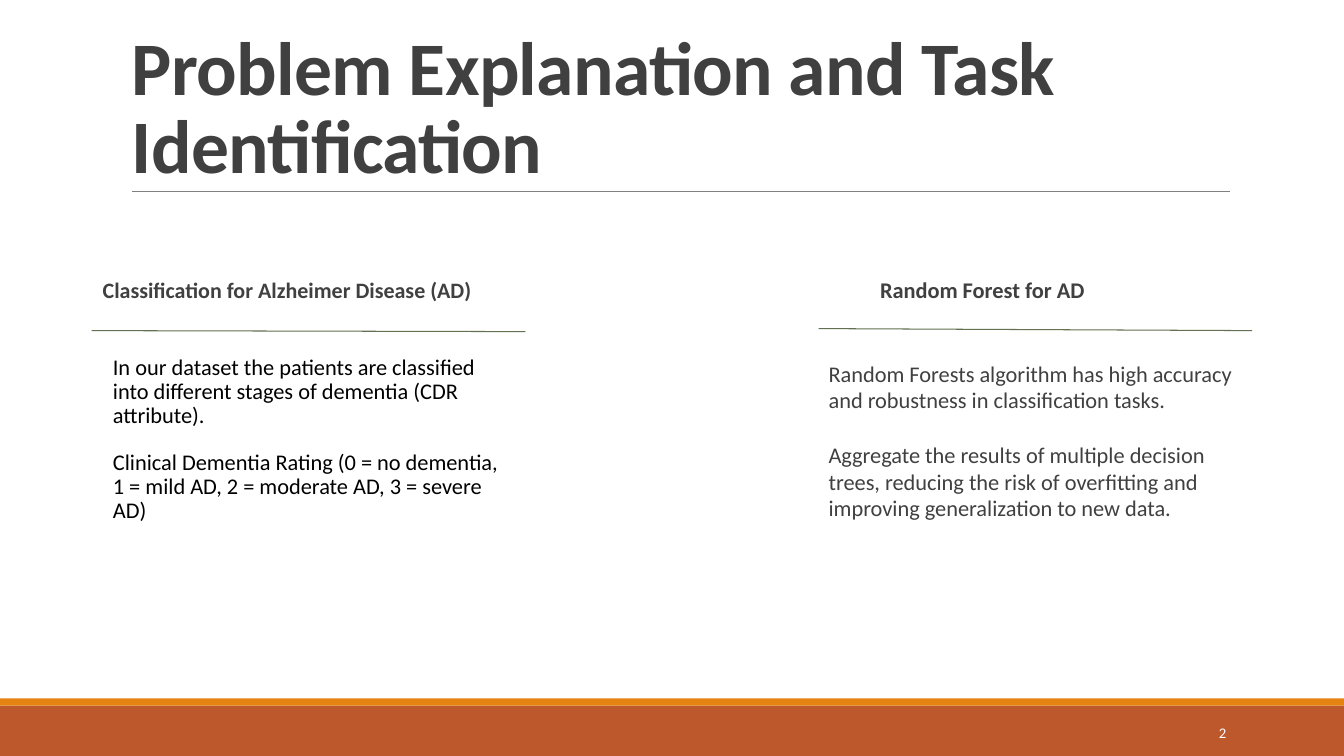
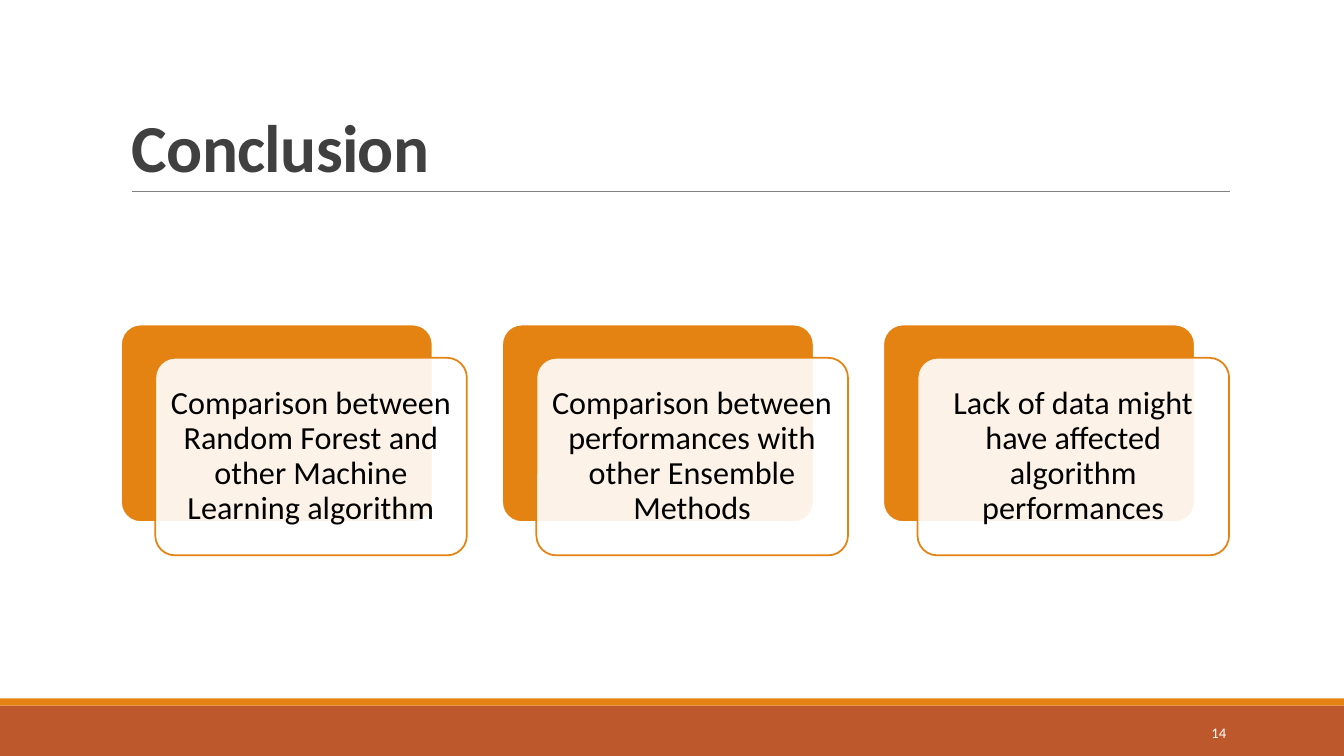
from lxml.etree import SubElement
from pptx import Presentation
from pptx.dml.color import RGBColor
from pptx.enum.shapes import MSO_CONNECTOR, MSO_SHAPE
from pptx.enum.text import MSO_ANCHOR, PP_ALIGN
from pptx.oxml.ns import qn
from pptx.util import Inches, Pt

# Shared colours and formats
ORANGE, RUST, WHITE, BLACK = "E48312", "BD582C", "FFFFFF", "000000"
DARK, GREY, OLIVE = "404040", "808080", "637052"
FONT = "Calibri"
TITLE_FONT = {"bold": True}
TITLE_PARA = {"line_spacing": 0.85}
CARD_PARA = {"line_spacing": 0.9, "alignment": PP_ALIGN.CENTER}


def colour(value):
    return RGBColor.from_string(value)


def apply(target, formats):
    for name, value in formats.items():
        setattr(target, name, value)


# Elements
def fill_text(shape, texts, size, ink, frame=None, para_format=None,
              font_format=None, tracking=None):
    text_frame = shape.text_frame
    apply(text_frame, {"word_wrap": True, **(frame or {})})
    for index, text in enumerate(texts):
        para = text_frame.paragraphs[0] if index == 0 else text_frame.add_paragraph()
        apply(para, para_format or {})
        span = para.add_run()
        span.text = text
        apply(span.font, {"name": FONT, "size": Pt(size), **(font_format or {})})
        span.font.color.rgb = colour(ink)
        if tracking is not None:
            span._r.get_or_add_rPr().set("spc", str(round(tracking * 100)))


def add_text(page, place, *args, **formats):
    box = page.shapes.add_textbox(*map(Inches, place))
    fill_text(box, *args, **formats)


def add_block(page, preset, place, fill, line=None, width=1.25, opacity=None):
    block = page.shapes.add_shape(preset, *map(Inches, place))
    block.shadow.inherit = False
    block.fill.solid()
    block.fill.fore_color.rgb = colour(fill)
    if opacity is not None:
        tint = block.fill._xPr.find(qn("a:solidFill")).find(qn("a:srgbClr"))
        SubElement(tint, qn("a:alpha")).set("val", str(opacity * 1000))
    if line is None:
        block.line.fill.background()
    else:
        block.line.color.rgb = colour(line)
        block.line.width = Pt(width)
    return block


def add_rule(page, ends, ink, width):
    rule = page.shapes.add_connector(MSO_CONNECTOR.STRAIGHT, *map(Inches, ends))
    rule.line.color.rgb = colour(ink)
    rule.line.width = Pt(width)
    SubElement(rule._element.spPr, qn("a:effectLst"))


def add_page(deck, title, number, title_size, title_anchor):
    page = deck.slides.add_slide(deck.slide_layouts[6])
    # Footer bands and title rule
    for place, fill in (((0, 7, 13.33, 0.5), RUST), ((0, 6.93, 13.33, 0.07), ORANGE)):
        add_block(page, MSO_SHAPE.RECTANGLE, place, fill)
    add_rule(page, (1.31, 1.9, 12.2, 1.9), GREY, 0.5)
    # Title and page number
    add_text(page, (1.21, 0.31, 11, 1.59), [title], title_size, DARK,
             frame={"vertical_anchor": title_anchor}, para_format=TITLE_PARA,
             font_format=TITLE_FONT, tracking=-0.5)
    add_text(page, (10.83, 7.07, 1.43, 0.4), [number], 10.5, WHITE,
             frame={"vertical_anchor": MSO_ANCHOR.MIDDLE},
             para_format={"alignment": PP_ALIGN.RIGHT})
    return page


def add_card(page, left, top, text):
    width, height, shift_x, shift_y = 3.09, 1.96, 0.34, 0.33
    back = add_block(page, MSO_SHAPE.ROUNDED_RECTANGLE,
                     (left, top, width, height), ORANGE, WHITE)
    front = add_block(page, MSO_SHAPE.ROUNDED_RECTANGLE,
                      (left + shift_x, top + shift_y, width, height),
                      WHITE, ORANGE, opacity=90)
    for panel in (back, front):
        panel.adjustments[0] = 0.1
    margins = {f"margin_{side}": Inches(0.07) for side in ("left", "top", "right", "bottom")}
    fill_text(front, [text], 23, BLACK, para_format=CARD_PARA,
              frame={"vertical_anchor": MSO_ANCHOR.MIDDLE, **margins})


# Slides
def build_problem(deck):
    page = add_page(deck, "Problem Explanation and Task Identification", "2",
                    54, MSO_ANCHOR.MIDDLE)
    # Column headings
    for place, text, size, spacing in (
        ((0.92, 2.74, 4.16, 0.54), "Classification for Alzheimer Disease (AD)", 15.7, 0.8),
        ((8.63, 2.72, 4.16, 0.4), "Random Forest for AD", 16, 0.9),
    ):
        add_text(page, place, [text], size, DARK,
                 para_format={"line_spacing": spacing}, font_format={"bold": True})
    # Column rules
    for ends in ((0.91, 3.28, 5.21, 3.29), (8.12, 3.26, 12.42, 3.28)):
        add_rule(page, ends, OLIVE, 0.75)
    # Column bodies
    add_text(page, (0.92, 3.48, 4.16, 3.27), [
        "In our dataset the patients are classified into different stages of "
        "dementia (CDR attribute).",
        "Clinical Dementia Rating (0 = no dementia, 1 = mild AD, 2 = moderate AD, "
        "3 = severe AD)",
    ], 16, BLACK, frame={"margin_left": Inches(0.2)},
        para_format={"line_spacing": 0.9, "space_after": Pt(16.4)})
    add_text(page, (8.12, 3.52, 4.3, 3.27), [
        "Random Forests algorithm has high accuracy and robustness in "
        "classification tasks.",
        "Aggregate the results of multiple decision trees, reducing the risk of "
        "overfitting and improving generalization to new data.",
    ], 16, DARK, para_format={"space_after": Pt(19.5)})


def build_conclusion(deck):
    page = add_page(deck, "Conclusion", "14", 48, MSO_ANCHOR.BOTTOM)
    first_left, pitch = 1.2, 3.78
    for index, text in enumerate((
        "Comparison between Random Forest and other Machine Learning algorithm",
        "Comparison between performances with other Ensemble Methods",
        "Lack of data might have affected algorithm performances",
    )):
        add_card(page, first_left + index * pitch, 3.22, text)


def main():
    deck = Presentation()
    apply(deck, {"slide_width": Inches(13.33), "slide_height": Inches(7.5)})
    build_problem(deck)
    build_conclusion(deck)
    deck.save("out.pptx")


if __name__ == "__main__":
    main()
